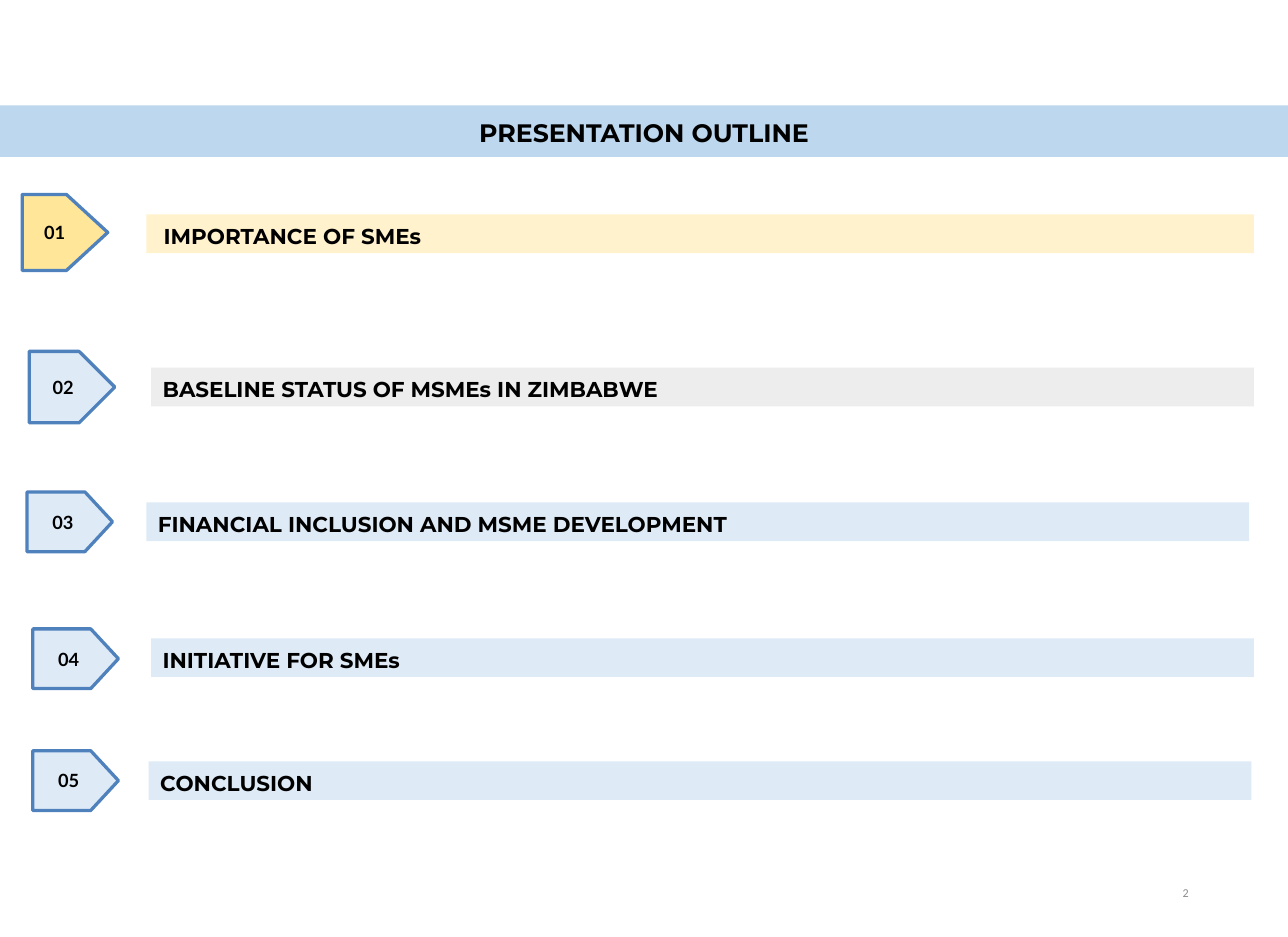
from pptx import Presentation
from pptx.dml.color import RGBColor
from pptx.enum import shapes, text
from pptx.util import Pt

AL = text.PP_ALIGN
ANCHOR = text.MSO_ANCHOR
SHAPE = shapes.MSO_SHAPE

TOPICS = [
    dict(title="IMPORTANCE OF SMEs", bar=(90, 131.8, 681.1), bar_fill="FFF2CC", indent=10.7,
         tag=(13.7, 119.5, 46.8), tag_fill="FFE699", point=0.544),
    dict(title="BASELINE STATUS OF MSMEs IN ZIMBABWE", bar=(92.9, 226.1, 678.2),
         bar_fill="EDEDED", tag=(18, 216, 43.9), point=0.5),
    dict(title="FINANCIAL INCLUSION AND MSME DEVELOPMENT", bar=(90, 308.9, 678.2),
         tag=(16.6, 302.4, 36.7)),
    dict(title="INITIATIVE FOR SMEs", bar=(92.9, 392.4, 678.2), tag=(20.2, 386.6, 36.7)),
    dict(title="CONCLUSION", bar=(91.4, 468, 678.2), tag=(20.2, 461.5, 36.7)),
]


def rgb(value):
    return RGBColor.from_string(value)


def write(sp, words, font="Montserrat", size=13.2, color="000000", bold=True, align=AL.LEFT,
          anchor=ANCHOR.MIDDLE, insets=(7.2, 3.6, 7.2, 3.6), line=None, after=None):
    tf = sp.text_frame
    tf.word_wrap = True
    tf.vertical_anchor = anchor
    tf.margin_left, tf.margin_top, tf.margin_right, tf.margin_bottom = map(Pt, insets)
    p = tf.paragraphs[0]
    p.alignment = align
    if line:
        p.line_spacing = line
    if after:
        p.space_after = Pt(after)
    r = p.add_run()
    r.text = words
    r.font.name = font
    r.font.size = Pt(size)
    r.font.bold = bold
    r.font.color.rgb = rgb(color)


def add_block(slide, kind, box, fill, outline=None):
    sp = slide.shapes.add_shape(kind, *map(Pt, box))
    sp.shadow.inherit = False
    sp.fill.solid()
    sp.fill.fore_color.rgb = rgb(fill)
    if outline:
        sp.line.color.rgb = rgb(outline)
        sp.line.width = Pt(2)
    else:
        sp.line.fill.background()
    return sp


def add_heading(slide, words):
    sp = add_block(slide, SHAPE.RECTANGLE, (0, 64.8, 792, 31.7), "BDD7EE")
    write(sp, words, size=15.5, align=AL.CENTER, insets=(5.8, 2.9, 5.8, 2.9),
          line=1.1, after=1.8)


def add_topic(slide, number, title, bar, tag, bar_fill="DEEBF7", tag_fill="DEEBF7",
              indent=7.2, point=0.463):
    sp = add_block(slide, SHAPE.RECTANGLE, (*bar, 23.8), bar_fill)
    write(sp, title, anchor=ANCHOR.TOP, insets=(indent, 3.6, 7.2, 3.6), line=1.1, after=1.8)
    sp.text_frame.auto_size = text.MSO_AUTO_SIZE.SHAPE_TO_FIT_TEXT

    left, top, height = tag
    sp = add_block(slide, SHAPE.PENTAGON, (left, top, 52.6, height), tag_fill, "4F81BD")
    sp.adjustments[0] = point
    write(sp, f"{number:02d}", font="Lato", size=11.2, align=AL.CENTER,
          insets=(3.6, 1.4, 3.6, 1.4))


def add_page_number(slide, number):
    sp = slide.shapes.add_textbox(Pt(559.4), Pt(533.5), Pt(178.6), Pt(31))
    write(sp, str(number), font="Calibri", size=7.4, color="8C8C8C", bold=False,
          align=AL.RIGHT)


def main():
    prs = Presentation()
    prs.slide_width, prs.slide_height = Pt(792), Pt(576)
    slide = prs.slides.add_slide(prs.slide_layouts[6])
    add_heading(slide, "PRESENTATION OUTLINE")
    for number, topic in enumerate(TOPICS, 1):
        add_topic(slide, number, **topic)
    add_page_number(slide, 2)
    prs.save("out.pptx")


if __name__ == "__main__":
    main()
